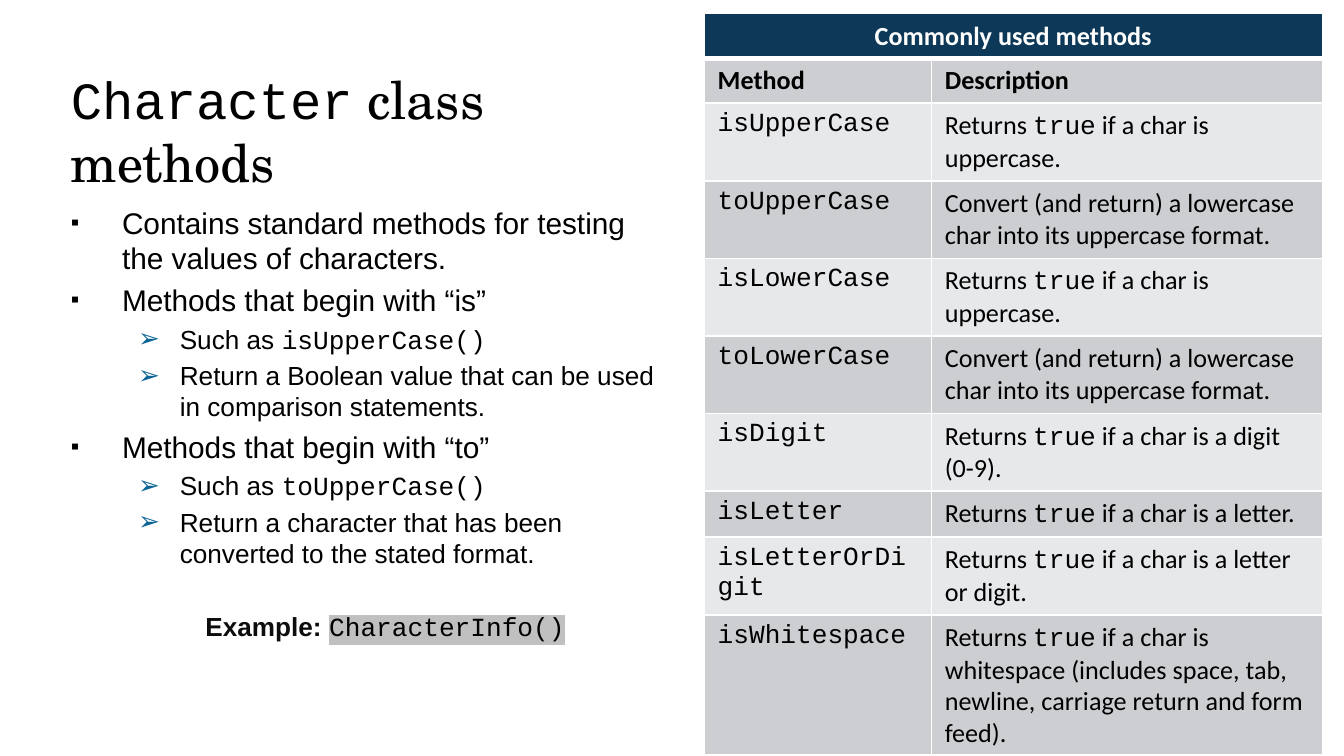
from lxml.etree import SubElement
from pptx import Presentation
from pptx.dml.color import RGBColor
from pptx.enum.text import MSO_ANCHOR, PP_ALIGN
from pptx.oxml import parse_xml
from pptx.oxml.ns import nsdecls, qn
from pptx.util import Emu, Inches, Pt

BLACK = RGBColor(0x00, 0x00, 0x00)
INK = RGBColor(0x0D, 0x0D, 0x0D)
WHITE = RGBColor(0xFF, 0xFF, 0xFF)
NAVY = RGBColor(0x0D, 0x38, 0x57)
BLUE = RGBColor(0x0B, 0x64, 0x96)
GREY = RGBColor(0xCC, 0xCE, 0xD1)
PALE = RGBColor(0xE7, 0xE8, 0xEA)
MARKER = RGBColor(0xC0, 0xC0, 0xC0)

SANS, CODE, TABLE, SERIF = "Arial", "Courier New", "Calibri", "TeX Gyre Schola"

LEVELS = [
    dict(size=16, left=0.38, hang=0.38, mark="▪", color=BLACK, scale=80),
    dict(size=14, left=0.81, hang=0.31, mark="➢", color=BLUE, scale=100),
]
POINTS = [
    (0, [("Contains standard methods for testing the values of characters.", SANS)]),
    (0, [("Methods that begin with “is”", SANS)]),
    (1, [("Such as ", SANS), ("isUpperCase()", CODE)]),
    (1, [("Return a Boolean value that can be used in comparison statements.", SANS)]),
    (0, [("Methods that begin with “to”", SANS)]),
    (1, [("Such as ", SANS), ("toUpperCase()", CODE)]),
    (1, [("Return a character that has been converted to the stated format.", SANS)]),
]


def returns_true(condition):
    """Return the runs describing a method that tests a char."""
    return [("Returns ", TABLE), ("true", CODE), (f" if a char is {condition}.", TABLE)]


CONVERT = [("Convert (and return) a lowercase char into its uppercase format.", TABLE)]
METHODS = [
    ("isUpperCase", returns_true("uppercase")),
    ("toUpperCase", CONVERT),
    ("isLowerCase", returns_true("uppercase")),
    ("toLowerCase", CONVERT),
    ("isDigit", returns_true("a digit (0-9)")),
    ("isLetter", returns_true("a letter")),
    ("isLetterOrDigit", returns_true("a letter or digit")),
    ("isWhitespace", returns_true(
        "whitespace (includes space, tab, newline, carriage return and form feed)")),
]


def write(p, runs, size, color=BLACK, bold=False):
    """Fill a paragraph with (text, font name) runs."""
    p.font.size, p.font.bold = Pt(size), bold
    p.font.color.rgb = color
    for text, name in runs:
        r = p.add_run()
        r.text, r.font.name = text, name


def add_box(s, box, anchor):
    """Add a wrapping text box and return its text frame."""
    tf = s.shapes.add_textbox(*(Inches(v) for v in box)).text_frame
    tf.word_wrap, tf.vertical_anchor = True, anchor
    return tf


def indent(p, left, hang=0):
    """Set the left margin and hanging indent of a paragraph."""
    pPr = p._p.get_or_add_pPr()
    pPr.set("marL", str(Inches(left)))
    pPr.set("indent", str(-Inches(hang)))


def bullet(p, mark, color, scale):
    """Give a paragraph a coloured bullet before its default font."""
    items = [
        f'<a:buClr {nsdecls("a")}><a:srgbClr val="{color}"/></a:buClr>',
        f'<a:buSzPct {nsdecls("a")} val="{scale * 1000}"/>',
        f'<a:buFont {nsdecls("a")} typeface="{SANS}"/>',
        f'<a:buChar {nsdecls("a")} char="{mark}"/>',
    ]
    default = p._p.pPr.find(qn("a:defRPr"))
    for item in items:
        default.addprevious(parse_xml(item))


def add_title(s, box):
    """Place the two-font slide title."""
    tf = add_box(s, box, MSO_ANCHOR.TOP)
    write(tf.paragraphs[0], [("Character", CODE), (" class methods", SERIF)], 28)


def add_points(s, box):
    """Place the bulleted notes and the closing example."""
    tf = add_box(s, box, MSO_ANCHOR.TOP)
    for i, (level, runs) in enumerate(POINTS):
        p = tf.add_paragraph() if i else tf.paragraphs[0]
        style = LEVELS[level]
        p.level, p.space_before = level, Pt(0.2 * style["size"])
        write(p, runs, style["size"])
        indent(p, style["left"], style["hang"])
        bullet(p, style["mark"], style["color"], style["scale"])
    p = tf.add_paragraph()
    p.level, p.space_before = 2, Pt(22.5)
    write(p, [("Example: ", SANS), ("CharacterInfo()", CODE)], 14)
    indent(p, 1)
    label, code = p.runs
    label.font.bold, label.font.color.rgb = True, INK
    mark = parse_xml(f'<a:highlight {nsdecls("a")}><a:srgbClr val="{MARKER}"/></a:highlight>')
    code.font._element.find(qn("a:latin")).addprevious(mark)


def style_cell(cell, fill, top=1, bottom=1):
    """Fill a cell and draw its white borders."""
    cell.fill.solid()
    cell.fill.fore_color.rgb = fill
    tcPr = cell._tc.get_or_add_tcPr()
    for i, (side, width) in enumerate(zip("LRTB", (1, 1, top, bottom))):
        ln = SubElement(tcPr, qn(f"a:ln{side}"), w=str(Pt(width)))
        solid = SubElement(ln, qn("a:solidFill"))
        SubElement(solid, qn("a:srgbClr"), val=str(WHITE))
        tcPr.insert(i, ln)


def add_methods(s, box, row):
    """Place the table of commonly used methods."""
    left, top, width, height = (Inches(v) for v in box)
    frame = s.shapes.add_table(len(METHODS) + 2, 2, left, top, width, height)
    table = frame.table
    for line in table.rows:
        line.height = Inches(row)
    table.columns[0].width = Inches(1.69)
    table.columns[1].width = Emu(width - Inches(1.69))
    frame.height = height
    table.cell(0, 0).merge(table.cell(0, 1))
    for cell in table.rows[0].cells:
        style_cell(cell, NAVY, bottom=3)
    p = table.cell(0, 0).text_frame.paragraphs[0]
    p.alignment = PP_ALIGN.CENTER
    write(p, [("Commonly used methods", TABLE)], 14, WHITE, True)
    rows = [([("Method", TABLE)], [("Description", TABLE)])]
    rows += [([(name, CODE)], description) for name, description in METHODS]
    for i, texts in enumerate(rows, 1):
        for cell, runs in zip(table.rows[i].cells, texts):
            style_cell(cell, GREY if i % 2 else PALE, top=3 if i == 1 else 1)
            cell.margin_bottom = Inches(0.05 if i == 1 else 0.06)
            write(cell.text_frame.paragraphs[0], runs, 14, bold=i == 1)


def main():
    """Build and save the slide."""
    prs = Presentation()
    prs.slide_width = Inches(10)
    prs.slide_height = Emu(prs.slide_width * 9 // 16)
    s = prs.slides.add_slide(prs.slide_layouts[6])
    add_title(s, (0.43, 0.45, 4.8, 0.94))
    add_points(s, (0.43, 1.47, 4.57, 3.39))
    add_methods(s, (5.24, 0.1, 4.6, 5.43), 0.3)
    prs.save("out.pptx")


if __name__ == "__main__":
    main()
